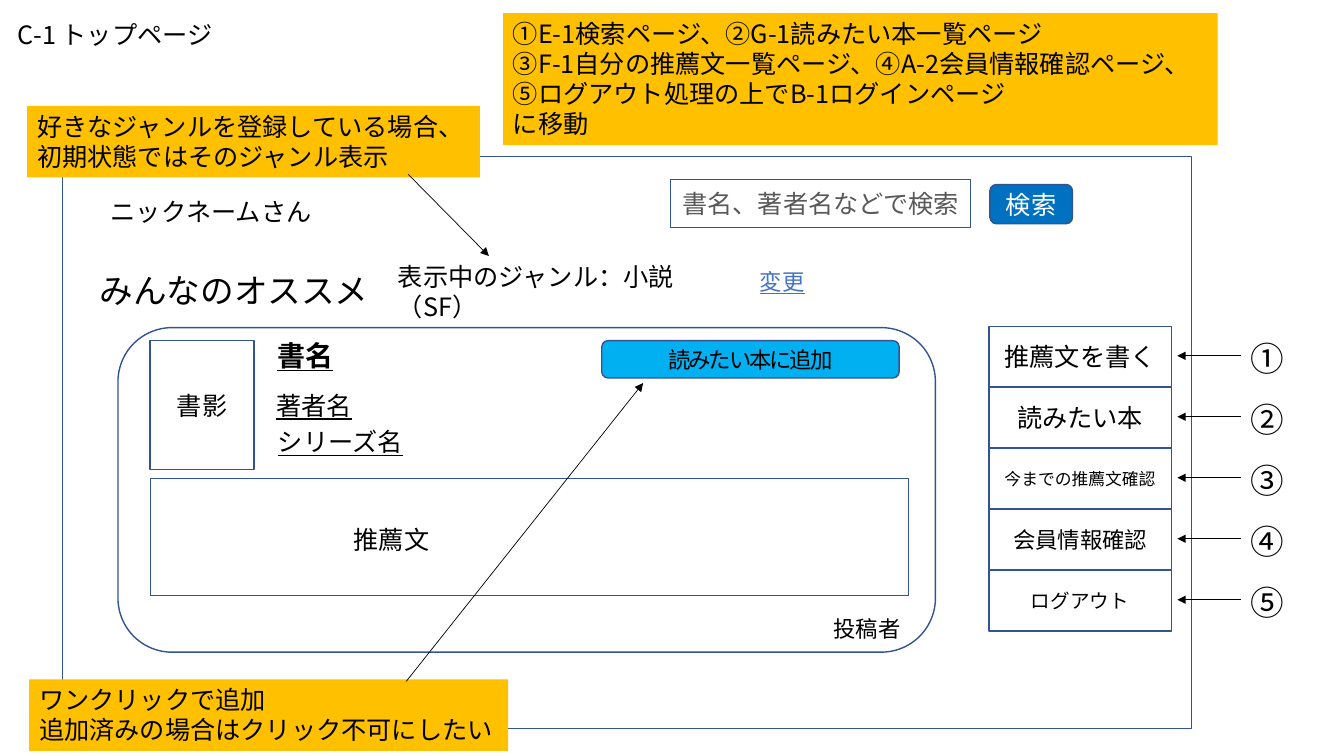
import dataclasses

import lxml.etree
import pptx
import pptx.dml.color
import pptx.enum.shapes
import pptx.enum.text
import pptx.oxml.ns
import pptx.util

RGB = pptx.dml.color.RGBColor
SHAPE = pptx.enum.shapes.MSO_SHAPE
BLACK = RGB(0x00, 0x00, 0x00)
WHITE = RGB(0xFF, 0xFF, 0xFF)
GREY = RGB(0x59, 0x59, 0x59)
OUTLINE = RGB(0x32, 0x54, 0x91)
LINK = RGB(0x44, 0x72, 0xC4)
BUTTON = RGB(0x00, 0x70, 0xC0)
ADD_BUTTON = RGB(0x00, 0xB0, 0xF0)
NOTE = RGB(0xFF, 0xC0, 0x00)
FONT = "Noto Sans CJK JP"

# The grid has ten columns and ten rows to the inch
CELL = pptx.util.Inches(0.1)
COLUMNS, ROWS = 133.33, 75


def cells(*counts):
    return [round(count * CELL) for count in counts]


@dataclasses.dataclass
class Box:
    left: float
    top: float
    width: float
    height: float

    def inner(self, left, top, width, height):
        return Box(self.left + left, self.top + top, width, height)

    def point(self, column, row):
        return self.left + column, self.top + row

    def lengths(self):
        return cells(self.left, self.top, self.width, self.height)


def add_span(para, words, size, color, bold=False, underline=False, spacing=0):
    span = para.add_run()
    span.text = words
    span.font.size = pptx.util.Pt(size)
    span.font.bold = bold
    span.font.underline = underline
    span.font.color.rgb = color
    span.font.name = FONT
    properties = span._r.get_or_add_rPr()
    east_asian = lxml.etree.SubElement(properties, pptx.oxml.ns.qn("a:ea"))
    east_asian.set("typeface", FONT)
    if spacing:
        properties.set("spc", str(round(spacing * 100)))


def add_label(page, box, lines, size=18, color=BLACK, fill=None, wrap=False, **style):
    label = page.shapes.add_textbox(*box.lengths())
    frame = label.text_frame
    frame.word_wrap = wrap
    frame.auto_size = pptx.enum.text.MSO_AUTO_SIZE.SHAPE_TO_FIT_TEXT
    if fill is not None:
        label.fill.solid()
        label.fill.fore_color.rgb = fill
    for number, words in enumerate(lines):
        para = frame.add_paragraph() if number else frame.paragraphs[0]
        add_span(para, words, size, color, **style)
    return label


def add_panel(page, box, words="", size=18, color=BLACK, fill=None,
              kind=SHAPE.RECTANGLE, **style):
    panel = page.shapes.add_shape(kind, *box.lengths())
    panel.shadow.inherit = False
    panel.line.color.rgb = OUTLINE
    panel.line.width = pptx.util.Pt(1)
    if fill is None:
        panel.fill.background()
    else:
        panel.fill.solid()
        panel.fill.fore_color.rgb = fill
    if words:
        frame = panel.text_frame
        frame.word_wrap = True
        frame.vertical_anchor = pptx.enum.text.MSO_ANCHOR.MIDDLE
        para = frame.paragraphs[0]
        para.alignment = pptx.enum.text.PP_ALIGN.CENTER
        add_span(para, words, size, color, **style)


def add_arrow(page, start, end):
    arrow = page.shapes.add_connector(
        pptx.enum.shapes.MSO_CONNECTOR.STRAIGHT, *cells(*start, *end))
    arrow.line.color.rgb = BLACK
    arrow.line.width = pptx.util.Pt(0.5)
    properties = arrow._element.spPr
    outline = properties.find(pptx.oxml.ns.qn("a:ln"))
    head = lxml.etree.SubElement(outline, pptx.oxml.ns.qn("a:tailEnd"))
    head.set("type", "triangle")
    lxml.etree.SubElement(properties, pptx.oxml.ns.qn("a:effectLst"))


def draw_header(page, box):
    # User name and search
    add_label(page, box.inner(3.8, 3.5, 22.2, 4), ["ニックネームさん"])
    add_panel(page, box.inner(60.3, 2.3, 29.8, 4.8), "書名、著者名などで検索", color=GREY)
    add_panel(page, box.inner(92, 2.8, 8.2, 3.9), "検索", color=WHITE, fill=BUTTON,
              kind=SHAPE.ROUNDED_RECTANGLE)
    # Section heading and genre
    add_label(page, box.inner(2.7, 10.8, 28.9, 5), ["みんなのオススメ"], size=24)
    genre = add_label(page, box.inner(32.3, 9.9, 38, 4), ["表示中のジャンル：小説"], wrap=True)
    para = genre.text_frame.paragraphs[0]
    para.add_line_break()
    add_span(para, "（SF）", 18, BLACK)
    add_label(page, box.inner(68.2, 10.6, 6.5, 3.7), ["変更"], 16, LINK, underline=True)


def draw_book_card(page, box):
    add_panel(page, box, kind=SHAPE.ROUNDED_RECTANGLE)
    # Book details
    add_panel(page, box.inner(3.2, 1.3, 10.3, 12.8), "書影")
    add_label(page, box.inner(14.8, 0.6, 7.6, 4.4), ["書名"], 20, wrap=True,
              bold=True, underline=True)
    add_label(page, box.inner(14.7, 5.7, 9.6, 4), ["著者名"], underline=True)
    add_label(page, box.inner(14.9, 9.3, 14.6, 4), ["シリーズ名"], underline=True)
    add_panel(page, box.inner(48, 1.3, 29.5, 3.7), "読みたい本に追加", 16, fill=ADD_BUTTON,
              kind=SHAPE.ROUNDED_RECTANGLE, spacing=-1.5)
    # Recommendation and its author
    add_panel(page, box.inner(3.2, 15, 75.2, 11.6))
    add_label(page, box.inner(22.4, 19, 9.6, 4), ["推薦文"], wrap=True)
    add_label(page, box.inner(70, 28, 8.8, 3.7), ["投稿者"], 16, wrap=True)


def draw_menu(page, box):
    entries = [("①", "推薦文を書く", 18), ("②", "読みたい本", 18),
               ("③", "今までの推薦文確認", 12), ("④", "会員情報確認", 16),
               ("⑤", "ログアウト", 14)]
    pitch = box.height / len(entries)
    for index, (number, words, size) in enumerate(entries):
        row = box.inner(0, index * pitch, box.width, 6)
        add_panel(page, row, words, size)
        add_arrow(page, row.point(25, 2.9), row.point(18.7, 2.9))
        add_label(page, row.inner(25, 0.6, 5.4, 5), [number], size=24)


def draw_notes(page, box):
    # Page title and destinations of the menu
    add_label(page, box.inner(0.8, 1.4, 22.1, 4), ["C-1 トップページ"])
    add_label(page, box.inner(49.9, 1.3, 70.9, 13.1), [
        "①E-1検索ページ、②G-1読みたい本一覧ページ",
        "③F-1自分の推薦文一覧ページ、④A-2会員情報確認ページ、",
        "⑤ログアウト処理の上でB-1ログインページ",
        "に移動"], fill=NOTE)
    # Note on the genre
    add_label(page, box.inner(2.7, 10.5, 44.9, 7.1), [
        "好きなジャンルを登録している場合、",
        "初期状態ではそのジャンル表示"], fill=NOTE)
    add_arrow(page, box.point(40.5, 17.3), box.point(48.5, 25.4))
    # Note on the add button
    add_label(page, box.inner(2.9, 67.4, 47.5, 7.1), [
        "ワンクリックで追加",
        "追加済みの場合はクリック不可にしたい"], fill=NOTE)
    add_arrow(page, box.point(40.3, 67.6), box.point(63.8, 38))


def draw_top_page(page, box):
    window = box.inner(6.2, 15.5, 112, 56.8)
    add_panel(page, window)
    draw_header(page, window)
    draw_book_card(page, window.inner(5.5, 17, 81.1, 32.2))
    draw_menu(page, window.inner(91.9, 16.9, 18.1, 30.25))
    draw_notes(page, box)


deck = pptx.Presentation()
deck.slide_width, deck.slide_height = cells(COLUMNS, ROWS)
top_page = deck.slides.add_slide(deck.slide_layouts[6])
draw_top_page(top_page, Box(0, 0, COLUMNS, ROWS))
deck.save("out.pptx")
